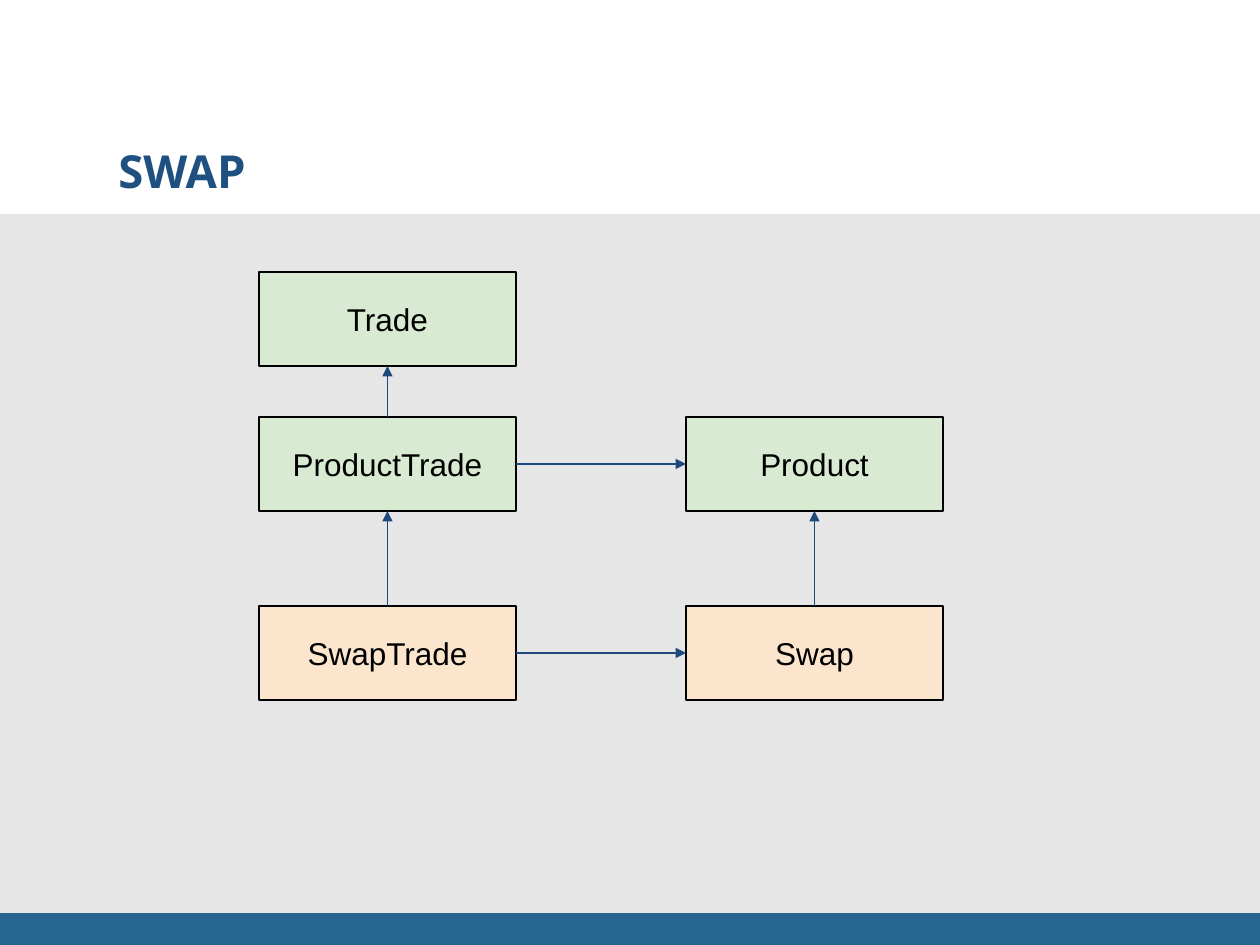
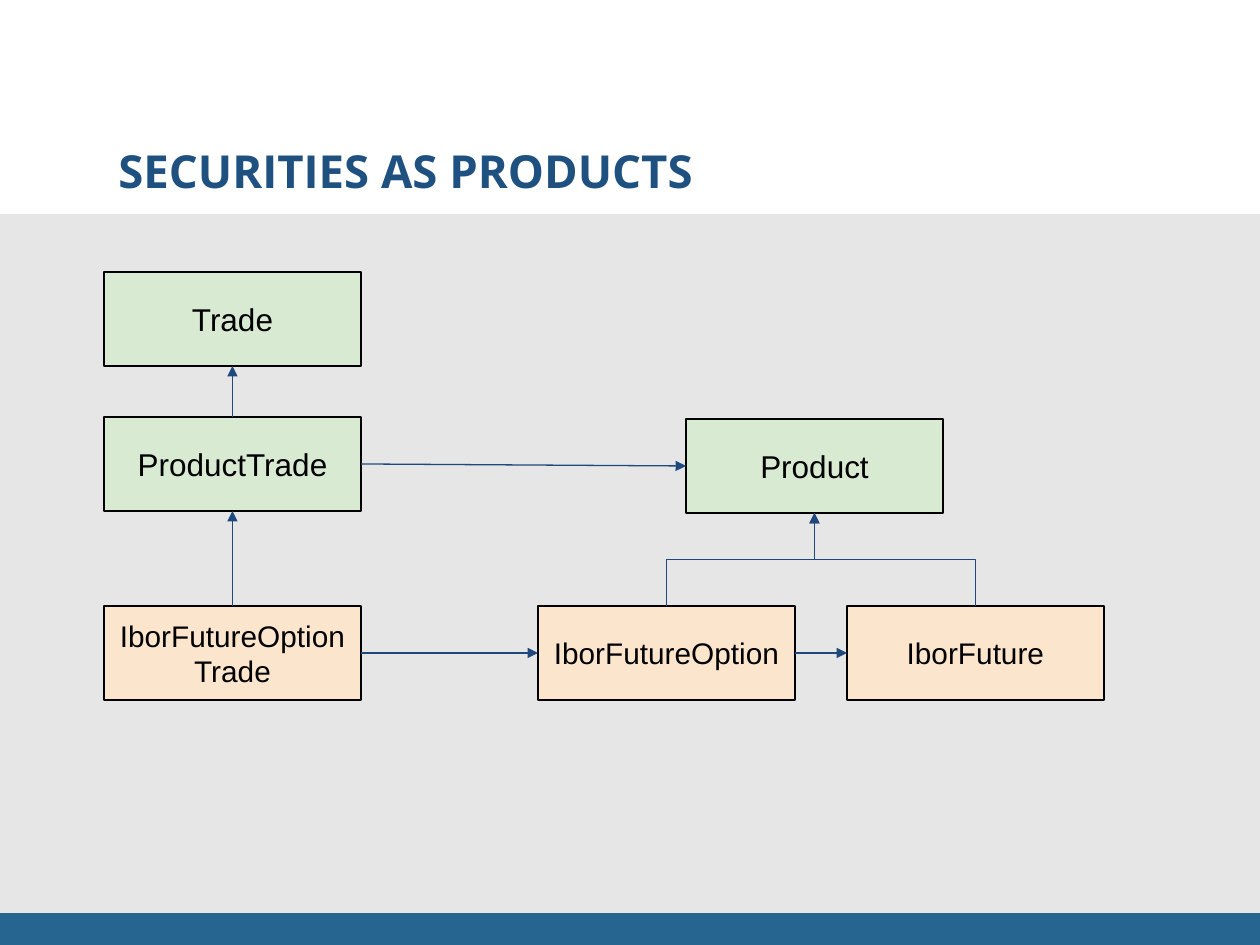
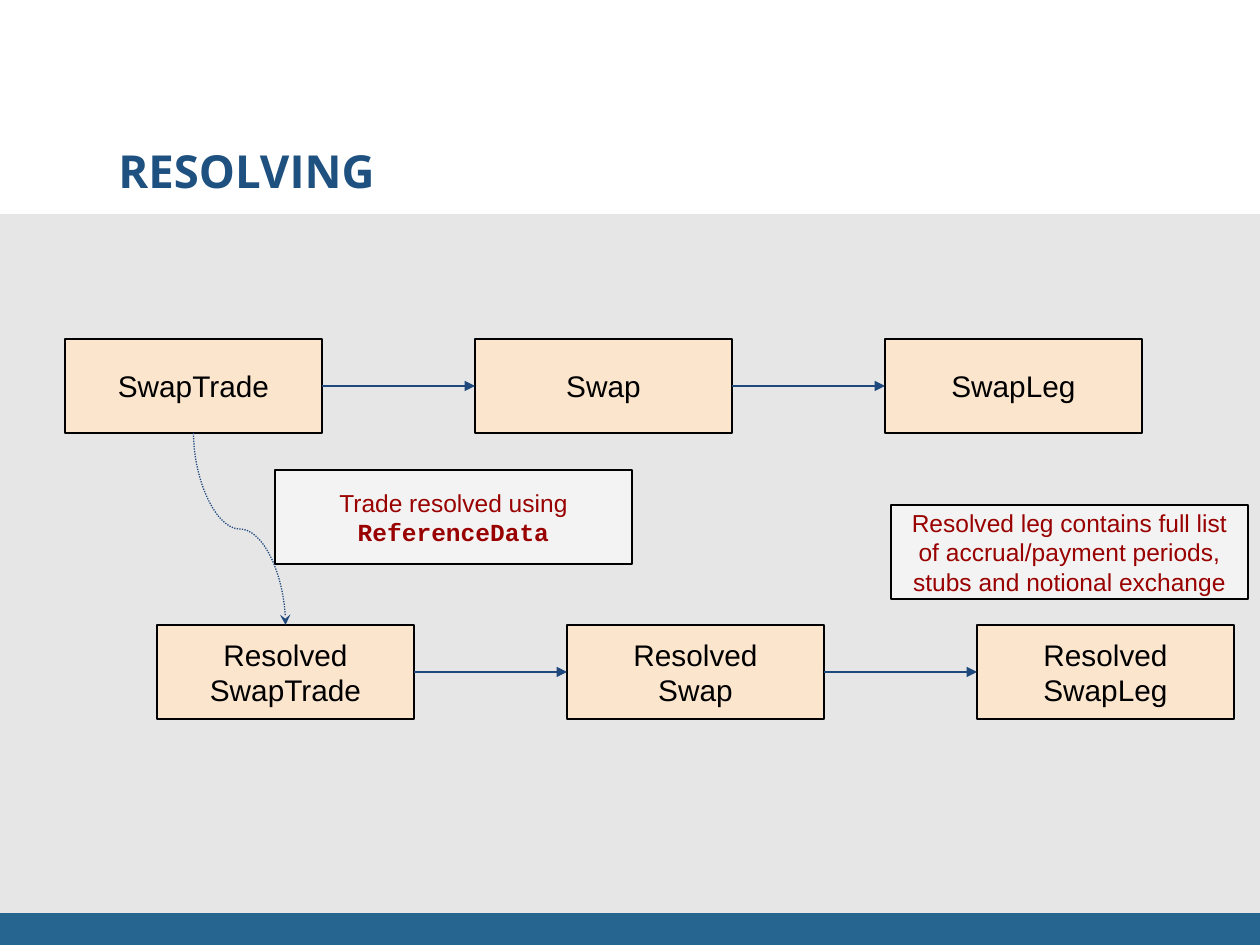
from itertools import pairwise

from lxml import etree
from pptx import Presentation
from pptx import util as u
from pptx.dml.color import RGBColor
from pptx.enum import dml, shapes, text
from pptx.oxml.ns import qn

PX = 914400 / 126
SLIDE_W, SLIDE_H = 1260, 945
BOX_W, BOX_H = 257, 94
NOTE_W = 357
BOX_INSET = 12

WHITE = RGBColor(0xFF, 0xFF, 0xFF)
BLACK = RGBColor(0, 0, 0)
FOOTER_BLUE = RGBColor(0x25, 0x65, 0x8F)
BODY_GREY = RGBColor(0xE6, 0xE6, 0xE6)
TITLE_BLUE = RGBColor(0x1E, 0x50, 0x80)
ARROW_BLUE = RGBColor(0x1F, 0x49, 0x7D)
GREEN = RGBColor(0xD9, 0xEA, 0xD3)
ORANGE = RGBColor(0xFC, 0xE5, 0xCD)
NOTE_GREY = RGBColor(0xF3, 0xF3, 0xF3)
NOTE_RED = RGBColor(0x99, 0, 0)

TOP, LEFT, BOTTOM, RIGHT = range(4)


def px(n):
    return u.Emu(round(n * PX))


def write(paragraph, words, *, size, color=BLACK, font="Arial", bold=False,
          align=text.PP_ALIGN.LEFT):
    paragraph.alignment = align
    run = paragraph.add_run()
    run.text = words
    run.font.name = font
    run.font.size = u.Pt(size)
    run.font.bold = bold
    run.font.color.rgb = color


def rectangle(slide, x, y, w, h, fill, outline=None):
    rect = slide.shapes.add_shape(shapes.MSO_SHAPE.RECTANGLE,
                                  px(x), px(y), px(w), px(h))
    rect.shadow.inherit = False
    rect.fill.solid()
    rect.fill.fore_color.rgb = fill
    if outline is None:
        rect.line.fill.background()
    else:
        rect.line.color.rgb = outline
        rect.line.width = u.Pt(0.75)
    return rect


def titled_slide(deck, title):
    slide = deck.slides.add_slide(deck.slide_layouts[6])
    slide.background.fill.solid()
    slide.background.fill.fore_color.rgb = WHITE
    rectangle(slide, 0, 913, SLIDE_W, 32, FOOTER_BLUE)
    rectangle(slide, 0, 214, SLIDE_W, 699, BODY_GREY)
    heading = slide.shapes.add_textbox(px(106), px(137), px(1082), px(63))
    heading.text_frame.word_wrap = True
    write(heading.text_frame.paragraphs[0], title, size=26, color=TITLE_BLUE,
          font="Open Sans", bold=True)
    return slide


def box(slide, x, y, label, fill, *, w=BOX_W, size=17, color=BLACK, code=None):
    """Outlined box with one paragraph per label line, then a code line."""
    rect = rectangle(slide, x, y, w, BOX_H, fill, BLACK)
    frame = rect.text_frame
    frame.word_wrap = True
    frame.vertical_anchor = text.MSO_ANCHOR.MIDDLE
    frame.margin_left = frame.margin_right = px(BOX_INSET)
    frame.margin_top = frame.margin_bottom = px(BOX_INSET)
    style = dict(size=size, color=color, align=text.PP_ALIGN.CENTER)
    for i, line in enumerate(label.split("\n")):
        paragraph = frame.add_paragraph() if i else frame.paragraphs[0]
        write(paragraph, line, **style)
    if code:
        write(frame.add_paragraph(), code, font="Courier New", bold=True, **style)
    return rect


def note(slide, x, y, label, code=None):
    box(slide, x, y, label, NOTE_GREY, w=NOTE_W, size=14, color=NOTE_RED, code=code)


def style_arrow(link, end="tailEnd", head="triangle", dash=None):
    link.line.color.rgb = ARROW_BLUE
    link.line.width = u.Pt(0.75)
    if dash is not None:
        link.line.dash_style = dash
    properties = link._element.spPr
    etree.SubElement(properties.find(qn("a:ln")), qn(f"a:{end}"), type=head)
    etree.SubElement(properties, qn("a:effectLst"))


def arrow(slide, source, source_side, target, target_side):
    link = slide.shapes.add_connector(shapes.MSO_CONNECTOR.STRAIGHT, 0, 0, 0, 0)
    link.begin_connect(source, source_side)
    link.end_connect(target, target_side)
    style_arrow(link)


def arrow_right(slide, source, target):
    arrow(slide, source, RIGHT, target, LEFT)


def arrow_up(slide, source, target):
    arrow(slide, source, TOP, target, BOTTOM)


def drop(slide, kind, upper, lower, **style):
    """Three-part connector from the bottom of upper to the top of lower.

    Its outline runs sideways by default, so it is laid flat around the
    midpoint and then turned by 90 degrees.
    """
    x1, y1 = upper.left + upper.width // 2, upper.top + upper.height
    x2, y2 = lower.left + lower.width // 2, lower.top
    mid_x, mid_y = (x1 + x2) // 2, (y1 + y2) // 2
    half_w, half_h = (x2 - x1) // 2, (y2 - y1) // 2
    link = slide.shapes.add_connector(kind, mid_x - half_h, mid_y + half_w,
                                      mid_x + half_h, mid_y - half_w)
    link._element.spPr.find(qn("a:xfrm")).set("rot", str(90 * 60000))
    style_arrow(link, **style)


def trade_column(slide, x, lowest_label, lowest_size):
    """Trade hierarchy, each type pointing up to its parent."""
    trade = box(slide, x, 272, "Trade", GREEN, size=18)
    product_trade = box(slide, x, 417, "ProductTrade", GREEN, size=18)
    lowest = box(slide, x, 606, lowest_label, ORANGE, size=lowest_size)
    arrow_up(slide, product_trade, trade)
    arrow_up(slide, lowest, product_trade)
    return product_trade, lowest


def swap_slide(deck):
    slide = titled_slide(deck, "SWAP")
    product_trade, swap_trade = trade_column(slide, 259, "SwapTrade", 18)
    product = box(slide, 686, 417, "Product", GREEN, size=18)
    swap = box(slide, 686, 606, "Swap", ORANGE, size=18)
    arrow_up(slide, swap, product)
    arrow_right(slide, swap_trade, swap)
    arrow_right(slide, product_trade, product)


def securities_slide(deck):
    slide = titled_slide(deck, "SECURITIES AS PRODUCTS")
    product_trade, option_trade = trade_column(
        slide, 104, "IborFutureOption\nTrade", 17)
    product = box(slide, 686, 419, "Product", GREEN, size=18)
    option = box(slide, 538, 606, "IborFutureOption", ORANGE)
    future = box(slide, 847, 606, "IborFuture", ORANGE)
    arrow_right(slide, option_trade, option)
    arrow_right(slide, option, future)
    arrow_right(slide, product_trade, product)
    for security in (future, option):
        drop(slide, shapes.MSO_CONNECTOR.ELBOW, product, security, end="headEnd")


def chain(slide, x, y, labels):
    """Evenly spaced row of boxes, each pointing to the next."""
    links = [box(slide, x + 410 * i, y, label, ORANGE)
             for i, label in enumerate(labels)]
    for source, target in pairwise(links):
        arrow_right(slide, source, target)
    return links


def resolving_slide(deck):
    slide = titled_slide(deck, "RESOLVING")
    types = ["SwapTrade", "Swap", "SwapLeg"]
    trade, *_ = chain(slide, 65, 339, types)
    resolved_trade, *_ = chain(slide, 157, 625, [f"Resolved\n{t}" for t in types])
    drop(slide, shapes.MSO_CONNECTOR.CURVE, trade, resolved_trade,
         head="stealth", dash=dml.MSO_LINE.ROUND_DOT)
    note(slide, 275, 470, "Trade resolved using", code="ReferenceData")
    note(slide, 891, 505, "Resolved leg contains full list of accrual/payment "
                          "periods, stubs and notional exchange")


def main():
    deck = Presentation()
    deck.slide_width, deck.slide_height = px(SLIDE_W), px(SLIDE_H)
    swap_slide(deck)
    securities_slide(deck)
    resolving_slide(deck)
    deck.save("out.pptx")


if __name__ == "__main__":
    main()
